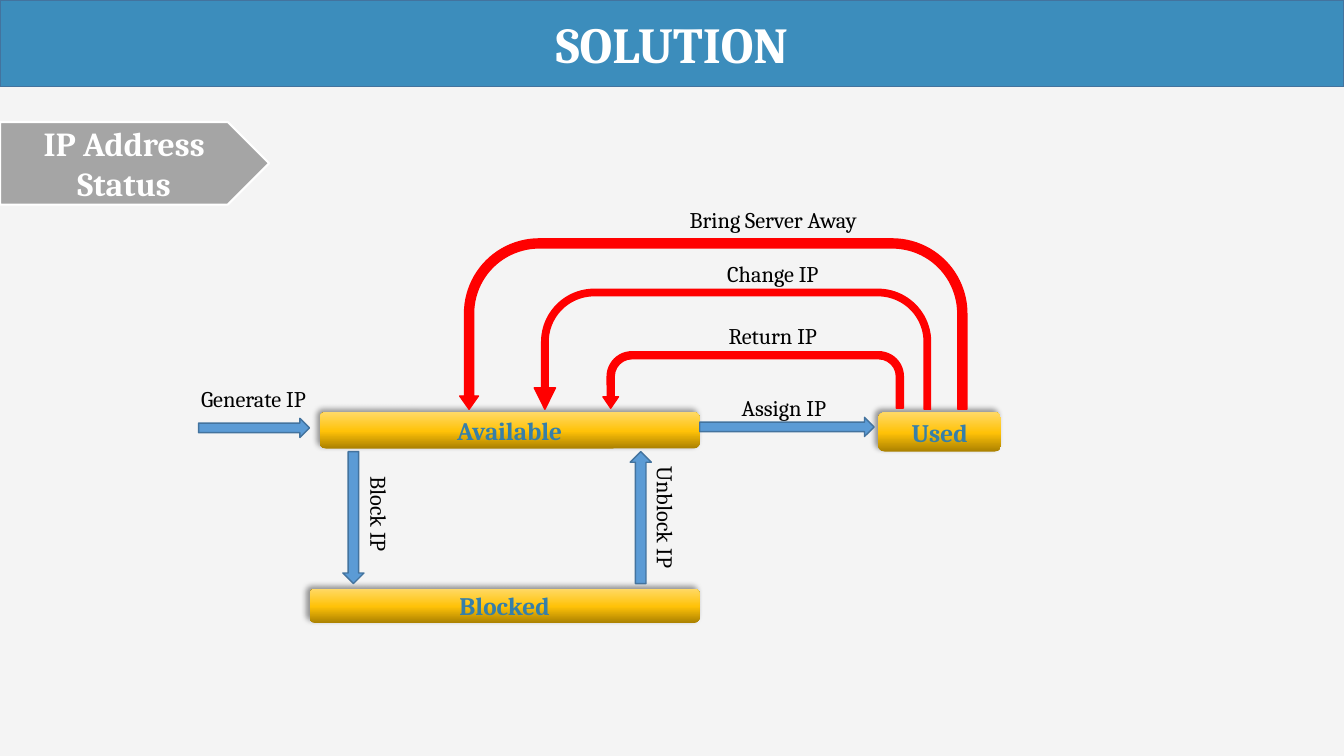
from copy import deepcopy

from lxml import etree
from pptx import Presentation
from pptx import util as u
from pptx.dml.color import RGBColor
from pptx.enum import shapes, text
from pptx.oxml.ns import qn

WHITE, RED, BLUE, BLUE_EDGE = "FFFFFF", "FF0000", "5B9BD5", "43739E"
GOLD_STOPS = [(0, "AB8100"), (0.48, "FFC208"), (1, "FFD966")]
SHAPE = shapes.MSO_SHAPE

presentation = Presentation()
presentation.slide_width = u.Inches(13.33)
presentation.slide_height = u.Inches(7.5)
slide = presentation.slides.add_slide(presentation.slide_layouts[6])
slide.background.fill.solid()
slide.background.fill.fore_color.rgb = RGBColor.from_string("F4F4F4")


def add_block(kind, box, fill=None, line=None, width=1, rotation=0):
    """Add a preset shape without shadow; box is left, top, width, height."""
    shape = slide.shapes.add_shape(kind, *[u.Inches(value) for value in box])
    shape.shadow.inherit = False
    shape.rotation = rotation
    if fill:
        shape.fill.solid()
        shape.fill.fore_color.rgb = RGBColor.from_string(fill)
    if line:
        shape.line.color.rgb = RGBColor.from_string(line)
        shape.line.width = u.Pt(width)
    else:
        shape.line.fill.background()
    return shape


def write(shape, words, size=16, color="000000", bold=False,
          anchor=text.MSO_ANCHOR.MIDDLE, spacing=None):
    frame = shape.text_frame
    frame.word_wrap = True
    frame.vertical_anchor = anchor
    paragraph = frame.paragraphs[0]
    paragraph.alignment = text.PP_ALIGN.CENTER
    paragraph.line_spacing = spacing
    run = paragraph.add_run()
    run.text = words
    run.font.name = "Cambria"
    run.font.size = u.Pt(size)
    run.font.bold = bold
    run.font.color.rgb = RGBColor.from_string(color)


title = add_block(SHAPE.RECTANGLE, (0, 0, 13.33, 0.86), "3C8DBC", BLUE_EDGE)
write(title, "SOLUTION", size=36, color=WHITE, bold=True)
topic = add_block(SHAPE.PENTAGON, (0, 1.21, 2.67, 0.82), "A5A5A5", WHITE, 1.5)
write(topic, "IP Address Status", size=24, color=WHITE, bold=True)

# Status boxes with a gold gradient and a shadow towards the upper left
for status, box in [
    ("Available", (3.17, 4.09, 3.77, 0.36)),
    ("Used", (8.71, 4.09, 1.22, 0.39)),
    ("Blocked", (3.07, 5.84, 3.87, 0.34)),
]:
    shape = add_block(SHAPE.ROUNDED_RECTANGLE, box)
    shape.fill.gradient()
    shape.fill.gradient_angle = 90
    properties = shape._element.spPr
    stop_list = properties.find(qn("a:gradFill")).find(qn("a:gsLst"))
    stop_list.insert(1, deepcopy(stop_list[0]))
    for stop, (position, color) in zip(shape.fill.gradient_stops, GOLD_STOPS):
        stop.position = position
        stop.color.rgb = RGBColor.from_string(color)
    shadow = etree.SubElement(
        properties.find(qn("a:effectLst")), qn("a:outerShdw"),
        blurRad=str(u.Pt(4)), dist=str(u.Pt(3)), dir=str(225 * 60000),
        algn="br", rotWithShape="0")
    shadow_color = etree.SubElement(shadow, qn("a:srgbClr"), val="000000")
    etree.SubElement(shadow_color, qn("a:alpha"), val="40000")
    write(shape, status, size=18, color="367FA9", bold=True)

# Straight arrows: generate, assign, block, unblock
for box, rotation in [
    ((1.97, 4.15, 1.1, 0.19), 0),
    ((6.94, 4.14, 1.73, 0.19), 0),
    ((2.85, 5.03, 1.31, 0.21), 90),
    ((5.7, 5.03, 1.31, 0.21), 270),
]:
    add_block(SHAPE.RIGHT_ARROW, box, BLUE, BLUE_EDGE, rotation=rotation)

# Return arrows from Used to Available: shaft, head width, head length
for box, proportions in [
    ((5.98, 3.49, 2.98, 0.56), (0.124, 0.138, 0.203)),
    ((5.3, 2.87, 3.93, 1.19), (0.053, 0.088, 0.178)),
    ((4.56, 2.37, 5.03, 1.69), (0.053, 0.055, 0.078)),
]:
    arrow = add_block(SHAPE.U_TURN_ARROW, box, RED, RED)
    arrow._element.spPr.find(qn("a:xfrm")).set("flipH", "1")
    for index, value in enumerate((*proportions, 0.438, 1)):
        arrow.adjustments[index] = value

for words, left, top, width, rotation in [
    ("Generate IP", 1.68, 3.8, 1.67, 0),
    ("Assign IP", 6.94, 3.89, 1.67, 0),
    ("Return IP", 6.83, 3.18, 1.67, 0),
    ("Change IP", 6.83, 2.56, 1.67, 0),
    ("Bring Server Away", 6.5, 2.03, 2.34, 0),
    ("Block IP", 2.9, 4.92, 1.67, 90),
    ("Unblock IP", 5.74, 4.95, 1.67, 90),
]:
    label = slide.shapes.add_textbox(
        u.Inches(left), u.Inches(top), u.Inches(width), u.Inches(0.36))
    label.rotation = rotation
    write(label, words, anchor=text.MSO_ANCHOR.TOP, spacing=0.9)

presentation.save("out.pptx")
